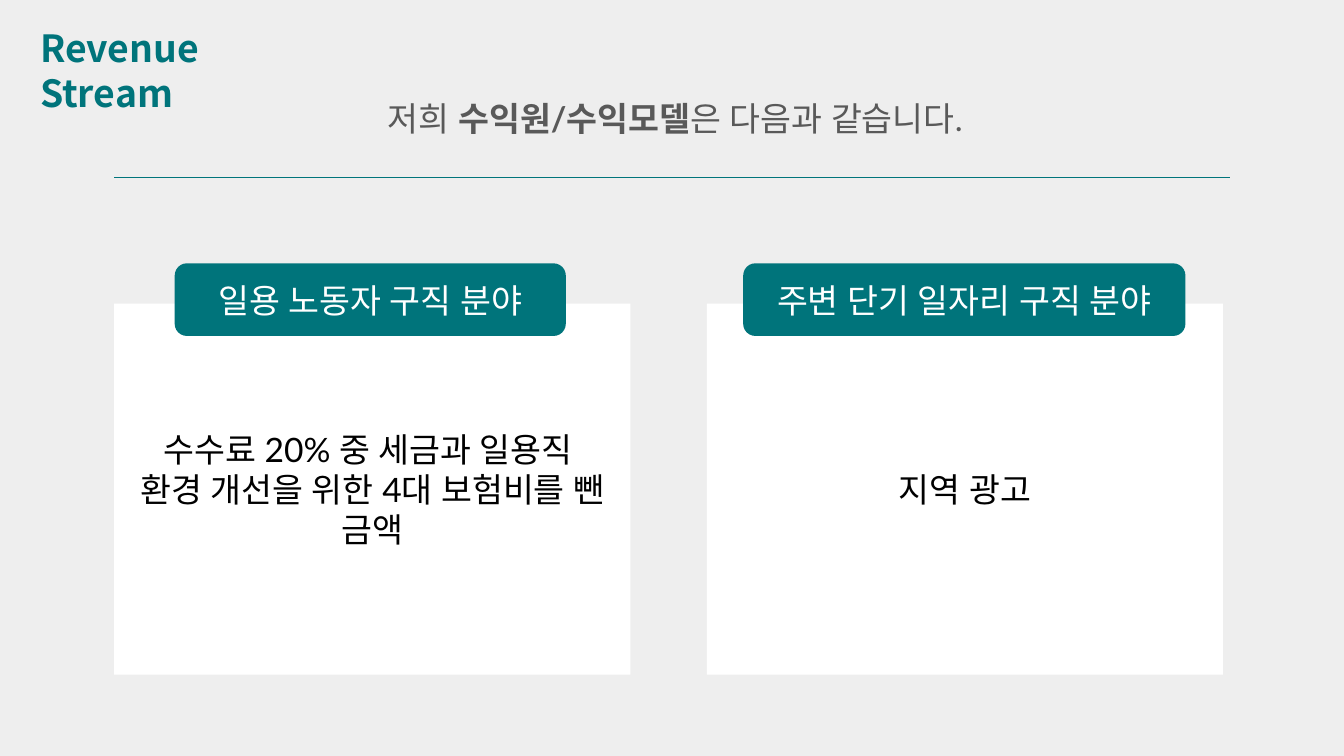
from lxml import etree
from pptx import Presentation
from pptx.dml.color import RGBColor
from pptx.enum.shapes import MSO_CONNECTOR, MSO_SHAPE
from pptx.enum.text import MSO_ANCHOR, PP_ALIGN
from pptx.oxml.ns import qn
from pptx.util import Inches, Pt

RECT, ROUNDED = MSO_SHAPE.RECTANGLE, MSO_SHAPE.ROUNDED_RECTANGLE
STRAIGHT = MSO_CONNECTOR.STRAIGHT
LEFT, CENTER = PP_ALIGN.LEFT, PP_ALIGN.CENTER
MIDDLE = MSO_ANCHOR.MIDDLE

TEAL, GRAY, WHITE, BLACK, PAPER = "00747B", "595959", "FFFFFF", "000000", "EEEEEE"
BODY_FONT, TITLE_FONT = "Lato", "Noto Sans CJK KR"


def rgb(value):
    return RGBColor.from_string(value)


def write(frame, paragraphs, color, size=18, font=BODY_FONT, align=CENTER):
    """Fill a text frame; each paragraph is a list of (text, bold) runs."""
    frame.word_wrap = True
    for i, runs in enumerate(paragraphs):
        paragraph = frame.paragraphs[0] if i == 0 else frame.add_paragraph()
        paragraph.alignment = align
        for text, bold in runs:
            run = paragraph.add_run()
            run.text = text
            run.font.size = Pt(size)
            run.font.bold = bold
            run.font.color.rgb = rgb(color)
            run.font.name = font
            # Same typeface for Korean text
            for script in ("a:ea", "a:cs"):
                etree.SubElement(run.font._element, qn(script), typeface=font)


def add_panel(slide, preset, box, fill, lines, color):
    panel = slide.shapes.add_shape(preset, *map(Inches, box))
    panel.shadow.inherit = False
    panel.fill.solid()
    panel.fill.fore_color.rgb = rgb(fill)
    panel.line.fill.background()
    panel.text_frame.vertical_anchor = MIDDLE
    write(panel.text_frame, [[(line, False)] for line in lines], color)


def add_header(slide, left, top, width):
    # Section title
    title = slide.shapes.add_textbox(Inches(0.2), Inches(top), Inches(2.36), Inches(0.44))
    write(title.text_frame, [[("Revenue Stream", True)]], TEAL, 20, TITLE_FONT, LEFT)

    # Rule under the header
    rule_y = Inches(top + 1.18)
    rule = slide.shapes.add_connector(STRAIGHT, Inches(left), rule_y, Inches(left + width), rule_y)
    rule.line.color.rgb = rgb(TEAL)
    rule.line.width = Pt(0.75)
    etree.SubElement(rule._element.spPr, qn("a:effectLst"))

    # Lead sentence
    lead = slide.shapes.add_textbox(Inches(left + 0.11), Inches(top + 0.54), Inches(8.13), Inches(0.4))
    write(lead.text_frame,
          [[("저희 ", False), ("수익원/수익모델", True), ("은 다음과 같습니다.", False)]], GRAY)


def add_revenue_card(slide, left, top, width, height, heading, tab_inset, tab_width, lines):
    # White body with a heading tab across its top edge
    add_panel(slide, RECT, (left, top, width, height), WHITE, lines, BLACK)
    add_panel(slide, ROUNDED, (left + tab_inset, top - 0.3, tab_width, 0.54), TEAL, [heading], WHITE)


def main():
    prs = Presentation()
    prs.slide_width = Inches(10)
    prs.slide_height = prs.slide_width * 9 // 16
    slide = prs.slides.add_slide(prs.slide_layouts[6])
    slide.background.fill.solid()
    slide.background.fill.fore_color.rgb = rgb(PAPER)

    margin = 0.85
    add_header(slide, margin, 0.14, 10 - 2 * margin)

    cards = [
        ("일용 노동자 구직 분야", 0.45, 2.91,
         ["수수료 20% 중 세금과 일용직 ", "환경 개선을 위한 4대 보험비를 뺀 금액"]),
        ("주변 단기 일자리 구직 분야", 0.27, 3.29, ["지역 광고"]),
    ]
    card_width, gap = 3.84, 0.57
    for i, (heading, tab_inset, tab_width, lines) in enumerate(cards):
        add_revenue_card(slide, margin + i * (card_width + gap), 2.26, card_width, 2.76,
                         heading, tab_inset, tab_width, lines)

    prs.save("out.pptx")


if __name__ == "__main__":
    main()
